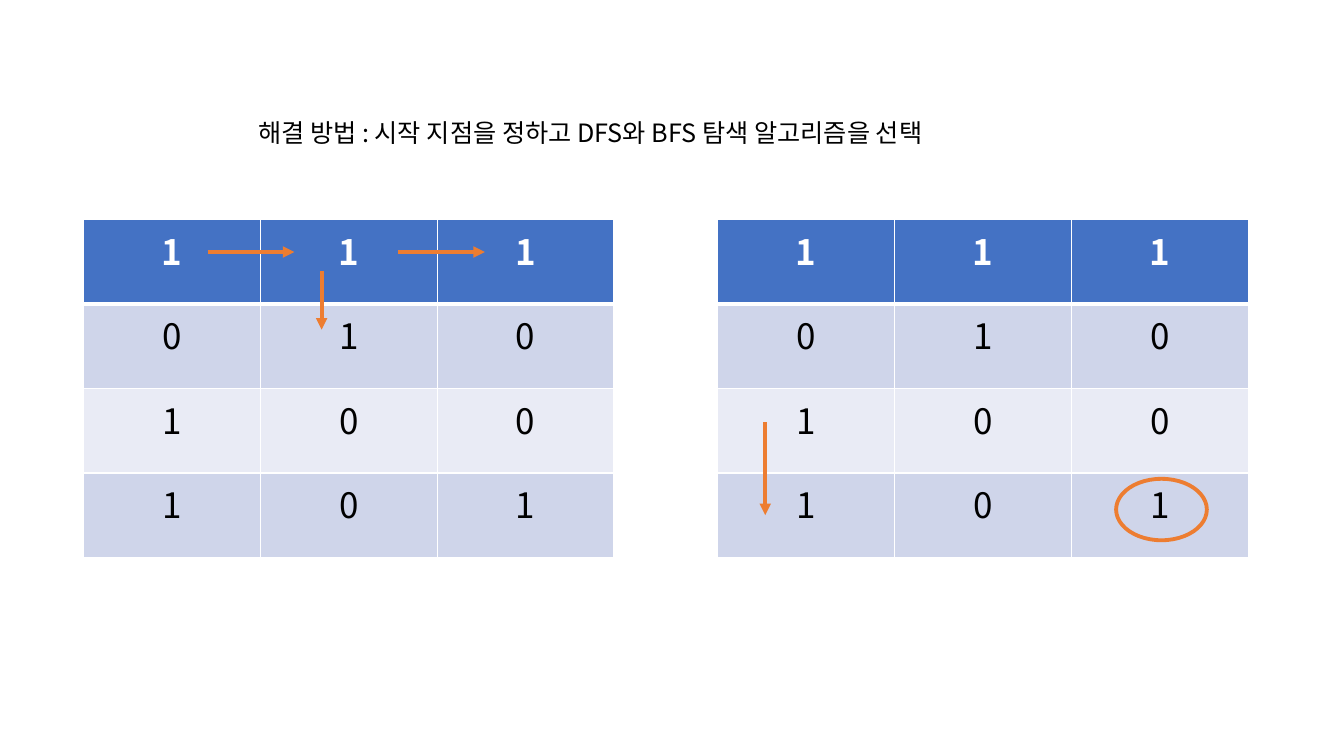
from dataclasses import dataclass

from lxml import etree
from pptx import Presentation
from pptx.dml.color import RGBColor
from pptx.enum import shapes as kinds, text as txt
from pptx.oxml import ns
from pptx.util import Inches, Pt

FONT = "Noto Sans CJK KR"
COLORS = {
    "header": "4472C4",
    "odd_row": "CFD5EA",
    "even_row": "E9EBF5",
    "accent": "ED7D31",
    "light": "FFFFFF",
    "dark": "000000",
}
MAZE = ["111", "010", "100", "101"]
GRID_TOP, GRID_WIDTH, GRID_HEIGHT = 2.18, 5.26, 3.35
GRID_LEFTS = [0.83, 7.12]


@dataclass
class Step:
    """A search move from one point to another, in inches."""
    x1: float
    y1: float
    x2: float
    y2: float


STEPS = [
    Step(2.06, 2.5, 2.92, 2.5),
    Step(3.95, 2.5, 4.81, 2.5),
    Step(3.19, 2.69, 3.19, 3.27),
    Step(7.59, 4.19, 7.59, 5.11),
]


def color(name: str) -> RGBColor:
    """Look up a named colour."""
    return RGBColor.from_string(COLORS[name])


def style_paragraph(paragraph, size: float, tint: str, bold: bool, align) -> None:
    """Set alignment and font, for Latin and Korean letters alike."""
    paragraph.alignment = align
    font = paragraph.font
    font.name, font.size, font.bold = FONT, Pt(size), bold
    font.color.rgb = color(tint)
    for run in paragraph.runs:
        east_asian = etree.SubElement(run.font._element, ns.qn("a:ea"))
        east_asian.set("typeface", FONT)


def style_line(line) -> None:
    """Give a line the accent colour and width."""
    line.color.rgb = color("accent")
    line.width = Pt(2.75)


def border_cell(cell, row: int) -> None:
    """Draw white cell borders, thick between the header and the body."""
    widths = {"lnL": 1, "lnR": 1, "lnT": 3 if row == 1 else 1, "lnB": 3 if row == 0 else 1}
    properties = cell._tc.get_or_add_tcPr()
    for index, (side, width) in enumerate(widths.items()):
        border = etree.Element(ns.qn(f"a:{side}"), w=str(Pt(width)))
        fill = etree.SubElement(border, ns.qn("a:solidFill"))
        etree.SubElement(fill, ns.qn("a:srgbClr"), val=COLORS["light"])
        properties.insert(index, border)


def add_maze(slide, left: float) -> None:
    """Add the maze as a table with a header row and banded rows."""
    frame = slide.shapes.add_table(
        len(MAZE), len(MAZE[0]), Inches(left), Inches(GRID_TOP),
        Inches(GRID_WIDTH), Inches(GRID_HEIGHT))
    for row, digits in enumerate(MAZE):
        header = row == 0
        band = "header" if header else ("odd_row" if row % 2 else "even_row")
        for column, digit in enumerate(digits):
            cell = frame.table.cell(row, column)
            cell.text = digit
            cell.fill.solid()
            cell.fill.fore_color.rgb = color(band)
            style_paragraph(cell.text_frame.paragraphs[0], 25,
                            "light" if header else "dark", header, txt.PP_ALIGN.CENTER)
            border_cell(cell, row)


def add_step(slide, step: Step) -> None:
    """Add an arrow for one search move."""
    arrow = slide.shapes.add_connector(
        kinds.MSO_CONNECTOR.STRAIGHT, Inches(step.x1), Inches(step.y1),
        Inches(step.x2), Inches(step.y2))
    style_line(arrow.line)
    etree.SubElement(arrow.line._get_or_add_ln(), ns.qn("a:tailEnd"), type="triangle")
    etree.SubElement(arrow._element.spPr, ns.qn("a:effectLst"))


def add_goal(slide) -> None:
    """Circle the isolated cell."""
    goal = slide.shapes.add_shape(
        kinds.MSO_SHAPE.OVAL, Inches(11.07), Inches(4.75), Inches(0.9), Inches(0.61))
    goal.shadow.inherit = False
    goal.fill.background()
    style_line(goal.line)


def set_heading(slide, wording: str) -> None:
    """Place and format the title."""
    heading = slide.shapes.title
    heading.left, heading.top = Inches(2.46), Inches(1.11)
    heading.width, heading.height = Inches(8.24), Inches(0.4)
    frame = heading.text_frame
    frame.text = wording
    frame.word_wrap = True
    frame.auto_size = txt.MSO_AUTO_SIZE.SHAPE_TO_FIT_TEXT
    frame.vertical_anchor = txt.MSO_ANCHOR.TOP
    style_paragraph(frame.paragraphs[0], 18, "dark", False, txt.PP_ALIGN.LEFT)


def main() -> None:
    """Build and save the slide."""
    deck = Presentation()
    deck.slide_width, deck.slide_height = Inches(13.33), Inches(7.5)
    slide = deck.slides.add_slide(deck.slide_layouts.get_by_name("Title Only"))
    set_heading(slide, "해결 방법 : 시작 지점을 정하고 DFS와 BFS 탐색 알고리즘을 선택")
    for left in GRID_LEFTS:
        add_maze(slide, left)
    for step in STEPS:
        add_step(slide, step)
    add_goal(slide)
    deck.save("out.pptx")


main()
